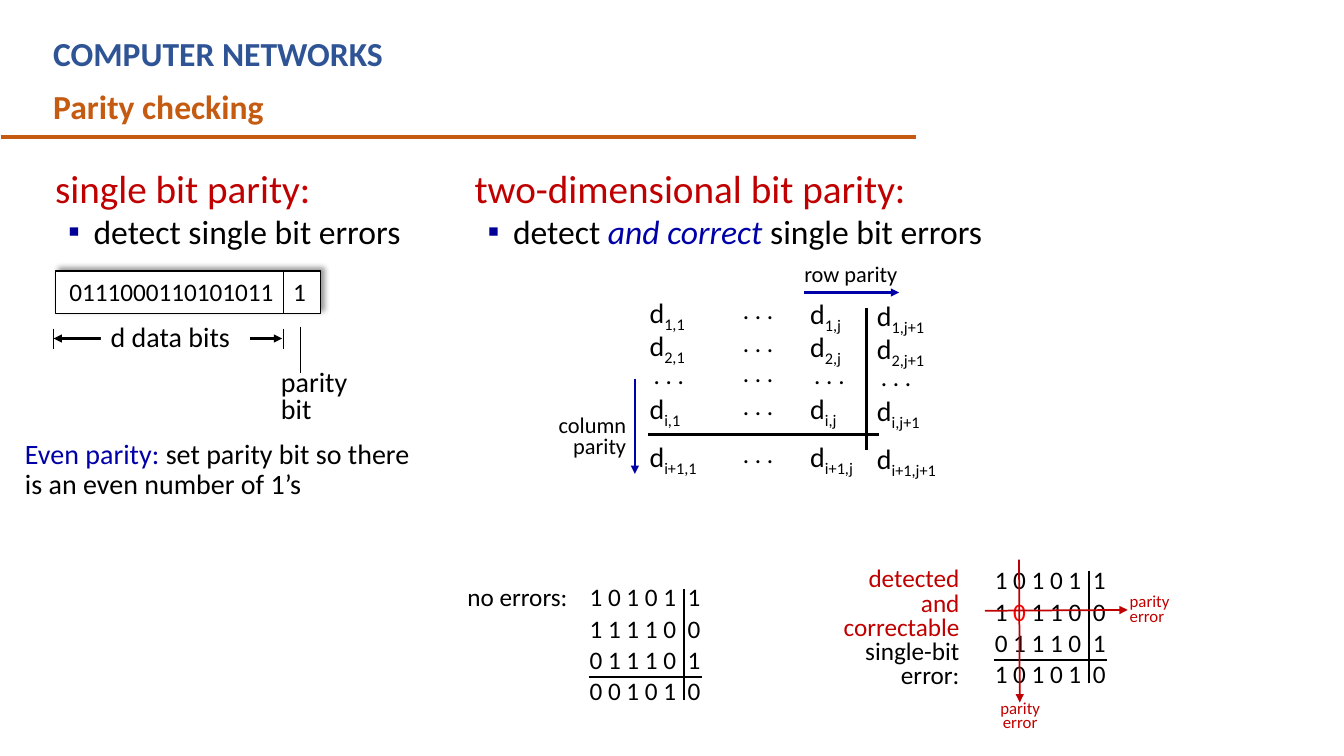
import pptx
import pptx.dml.color
import pptx.enum.dml
import pptx.enum.shapes
import pptx.enum.text
import pptx.oxml
import pptx.oxml.ns
import pptx.util
from lxml import etree

Cm, Pt = pptx.util.Cm, pptx.util.Pt
RGB = pptx.dml.color.RGBColor
ALIGN = pptx.enum.text.PP_ALIGN

BLACK = RGB(0x00, 0x00, 0x00)
WHITE = RGB(0xFF, 0xFF, 0xFF)
TITLE_BLUE = RGB(0x2F, 0x54, 0x96)
ORANGE = RGB(0xC5, 0x5A, 0x11)
DARK_RED = RGB(0xC0, 0x00, 0x00)
COLON_RED = RGB(0xCC, 0x00, 0x00)
BIT_RED = RGB(0xFF, 0x00, 0x00)
BULLET_BLUE = RGB(0x00, 0x00, 0x99)
BLUE = RGB(0x00, 0x00, 0xA8)

DOTS = ". . ."


def drawing_xml(tag, body, attributes=""):
    return pptx.oxml.parse_xml(
        f'<a:{tag} {pptx.oxml.ns.nsdecls("a")} {attributes}>{body}</a:{tag}>')


class ParitySlide:
    """Current slide and its style; all positions are in centimetres."""
    font = "Calibri"

    def __init__(self, presentation):
        self.slide = presentation.slides.add_slide(presentation.slide_layouts[6])

    def add_runs(self, paragraph, parts, size, color):
        """Fill a paragraph from a string or from (text, font settings) pairs."""
        if isinstance(parts, str):
            parts = [(parts, {})]
        for words, settings in parts:
            run = paragraph.add_run()
            run.text = words
            run.font.name = self.font
            run.font.size = Pt(size)
            run.font.color.rgb = settings.get("color", color)
            run.font.bold = settings.get("bold")
            run.font.italic = settings.get("italic")
            if "baseline" in settings:
                run.font._element.set("baseline", str(settings["baseline"]))

    def text(self, left, top, width, height, lines, size=18, color=BLACK,
             align=ALIGN.LEFT, spacing=None, fill=None, tab=None):
        box = self.slide.shapes.add_textbox(Cm(left), Cm(top), Cm(width), Cm(height))
        if fill is not None:
            box.fill.solid()
            box.fill.fore_color.rgb = fill
        frame = box.text_frame
        frame.word_wrap = True
        frame.auto_size = pptx.enum.text.MSO_AUTO_SIZE.SHAPE_TO_FIT_TEXT
        for index, parts in enumerate(lines):
            paragraph = frame.add_paragraph() if index else frame.paragraphs[0]
            paragraph.alignment = align
            paragraph.line_spacing = spacing
            if tab:
                stop = f'<a:tab pos="{Cm(tab)}" algn="l"/>'
                paragraph._p.get_or_add_pPr().append(drawing_xml("tabLst", stop))
            self.add_runs(paragraph, parts, size, color)
        return frame

    def topic(self, left, width, heading, point):
        frame = self.text(left, 4.01, width, 2.49, [heading], 28, DARK_RED)
        paragraph = frame.add_paragraph()
        properties = paragraph._p.get_or_add_pPr()
        properties.set("marL", str(Cm(0.97)))
        properties.set("indent", str(Cm(-0.64)))
        properties.append(drawing_xml("buClr", f'<a:srgbClr val="{BULLET_BLUE}"/>'))
        properties.append(drawing_xml("buFont", "", 'typeface="Arial"'))
        properties.append(drawing_xml("buChar", "", 'char="▪"'))
        self.add_runs(paragraph, point, 24, BLACK)

    def line(self, x1, y1, x2, y2, width, color=BLACK, arrows=()):
        """Straight line; arrows may hold headEnd (start) and tailEnd (end)."""
        connector = self.slide.shapes.add_connector(
            pptx.enum.shapes.MSO_CONNECTOR.STRAIGHT, Cm(x1), Cm(y1), Cm(x2), Cm(y2))
        connector.line.color.rgb = color
        connector.line.width = Pt(width)
        for end in arrows:
            connector.line._get_or_add_ln().append(
                drawing_xml(end, "", 'type="triangle"'))
        etree.SubElement(connector._element.spPr, pptx.oxml.ns.qn("a:effectLst"))

    def shadowed_frame(self, left, top, width, height):
        frame = self.slide.shapes.add_shape(
            pptx.enum.shapes.MSO_SHAPE.RECTANGLE, Cm(left), Cm(top), Cm(width), Cm(height))
        frame.fill.solid()
        frame.fill.fore_color.rgb = WHITE
        frame.line.color.rgb = BLACK
        frame.line.width = Pt(1)
        frame.shadow.inherit = False
        shadow = (f'<a:outerShdw blurRad="{Pt(4)}" dist="{Pt(3)}" dir="18900000" '
                  'algn="bl" rotWithShape="0"><a:srgbClr val="000000">'
                  '<a:alpha val="40000"/></a:srgbClr></a:outerShdw>')
        properties = frame._element.spPr
        properties.replace(properties.find(pptx.oxml.ns.qn("a:effectLst")),
                           drawing_xml("effectLst", shadow))

    def bit_grid(self, left, top, rows):
        """Rows of five data bits and a parity bit, ruled off on two sides."""
        for index, row in enumerate(rows):
            self.text(left, top + 0.79 * index, 3.5, 1.02, [row], tab=2.47)
        self.line(left + 0.23, top + 2.54, left + 3.07, top + 2.54, 1.5)
        self.line(left + 2.62, top + 3.12, left + 2.62, top + 0.3, 1.5)


def draw_heading(page):
    page.text(1.09, 0.71, 20.83, 1.27,
              [[("COMPUTER NETWORKS", {"bold": True})]], 24, TITLE_BLUE)
    page.line(0.03, 3.45, 23.09, 3.45, 3, ORANGE)
    page.text(1.09, 2.03, 8.43, 1.27,
              [[("Parity checking", {"bold": True})]], 24, ORANGE)


def draw_single_parity(page):
    page.topic(1.14, 9.35, [("single bit parity", {}), (":", {"color": COLON_RED})],
               "detect single bit errors")
    page.shadowed_frame(1.4, 6.83, 6.68, 1.07)
    page.text(1.5, 6.83, 5.72, 1.02, ["0111000110101011"])
    page.line(1.35, 8.53, 7.11, 8.53, 1.75, arrows=("headEnd", "tailEnd"))
    for tick in (1.35, 7.14):
        page.line(tick, 8.28, tick, 8.8, 0.75)
    page.text(7.14, 6.83, 0.84, 1.02, ["1"])
    page.text(6.83, 9.22, 3.76, 1.65, ["parity", "bit"], 20, spacing=0.8, fill=WHITE)
    page.line(7.57, 8.23, 7.57, 9.4, 1)
    page.line(7.14, 6.83, 7.14, 7.9, 1)
    page.text(2.54, 8.1, 3.76, 0.97, ["d data bits"], 20, spacing=0.8, fill=WHITE)
    page.text(0.38, 10.97, 10.72, 1.8,
              [[("Even parity: ", {"color": BLUE}),
                ("set parity bit so there is an even number of 1’s", {})]],
              20, spacing=0.9)


def draw_parity_matrix(page):
    page.topic(11.71, 13.64, "two-dimensional bit parity:",
               [("detect ", {}), ("and correct ", {"color": BLUE, "italic": True}),
                ("single bit errors", {})])
    columns = (("1", 16.12, 0), (None, 18.47, -0.03), ("j", 20.17, 0.02), ("j+1", 21.85, 0.07))
    rows = (("1", 7.32), ("2", 8.15), (None, 8.92), ("i", 9.73), ("i+1", 10.94))
    for column, left, drop in columns:
        for row, top in rows:
            if row and column:
                subscript = (f"{row},{column}", {"baseline": -25000})
                page.text(left, top + drop, 2.2, 1.12, [[("d", {}), subscript]], 20)
            else:
                shift = 0.1 if column else 0
                page.text(left + shift, top + drop, 1.75, 1.02, [DOTS])
    page.line(16.33, 10.95, 22.15, 10.95, 2)
    page.line(21.84, 11.33, 21.84, 7.77, 2)
    page.text(20.02, 6.43, 2.9, 0.94, ["row parity"], 16)
    page.text(13.79, 10.36, 2.24, 1.37, ["column", "parity"], 16,
              align=ALIGN.RIGHT, spacing=0.8)
    page.line(20.27, 7.37, 22.66, 7.37, 1.75, BLUE, ["tailEnd"])
    page.line(16, 9.55, 16, 11.94, 1.75, BLUE, ["tailEnd"])


def draw_examples(page):
    first, third, last = "1 0 1 0 1\t1", "0 1 1 1 0\t1", "0 0 1 0 1\t0"
    page.bit_grid(14.61, 14.53, [first, "1 1 1 1 0\t0", third, last])
    page.text(11.53, 14.53, 3.07, 1.02, ["no errors:"])

    flipped = [("1 ", {}), ("0", {"color": BIT_RED}), (" 1 1 0\t0", {})]
    page.bit_grid(24.82, 14.1, [first, flipped, third, "1 0 1 0 1\t0"])
    for left, top, align in ((24.82, 17.6, ALIGN.CENTER), (28.22, 14.91, ALIGN.LEFT)):
        page.text(left, top, 1.78, 0.99, ["parity", "error"], 12, DARK_RED, align, 0.7)
    page.line(24.82, 15.39, 28.42, 15.37, 1.25, DARK_RED, ["tailEnd"])
    page.line(25.68, 14.1, 25.7, 17.7, 1.25, DARK_RED, ["tailEnd"])
    outcome = [[(word, {"color": DARK_RED})] for word in ("detected", "and", "correctable")]
    page.text(20.52, 14.2, 3.91, 3.35, outcome + ["single-bit", "error:"],
              align=ALIGN.RIGHT, spacing=0.8)


def main():
    presentation = pptx.Presentation()
    presentation.slide_width, presentation.slide_height = Cm(33.87), Cm(19.05)
    page = ParitySlide(presentation)
    draw_heading(page)
    draw_single_parity(page)
    draw_parity_matrix(page)
    draw_examples(page)
    presentation.save("out.pptx")


if __name__ == "__main__":
    main()
